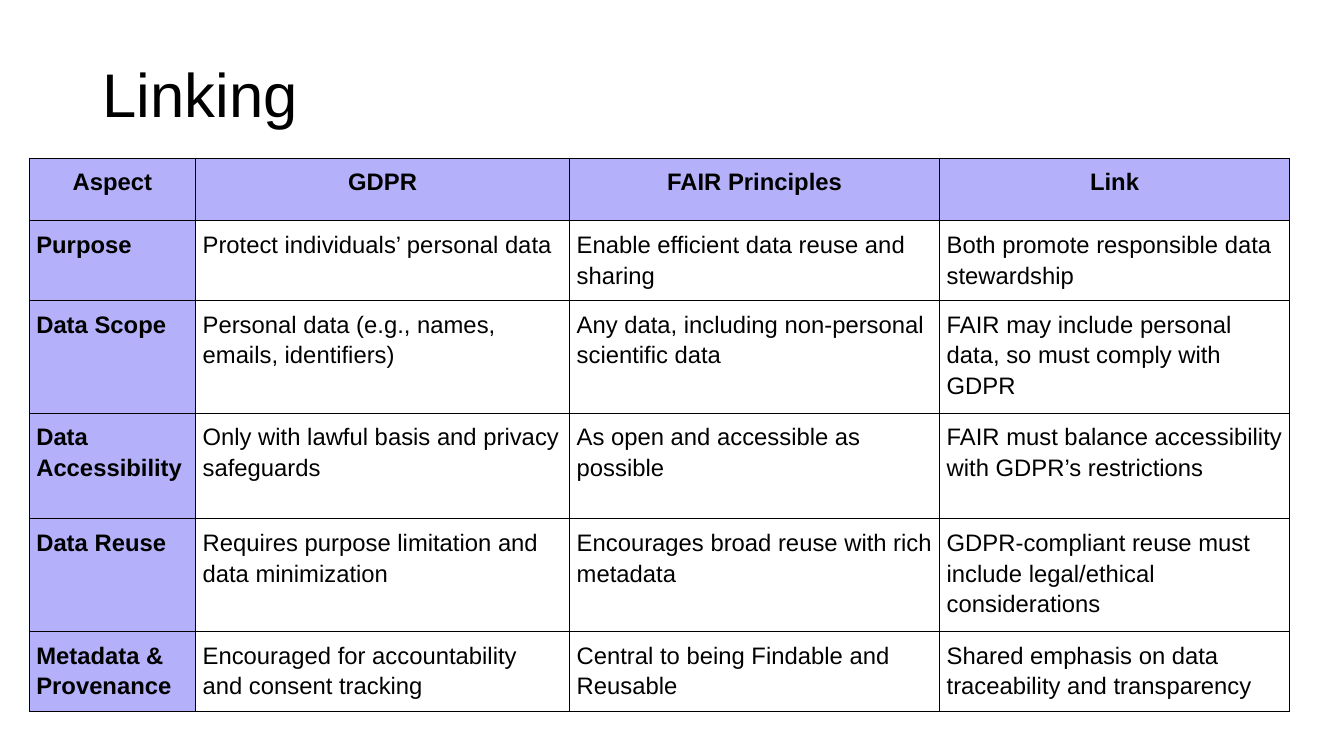
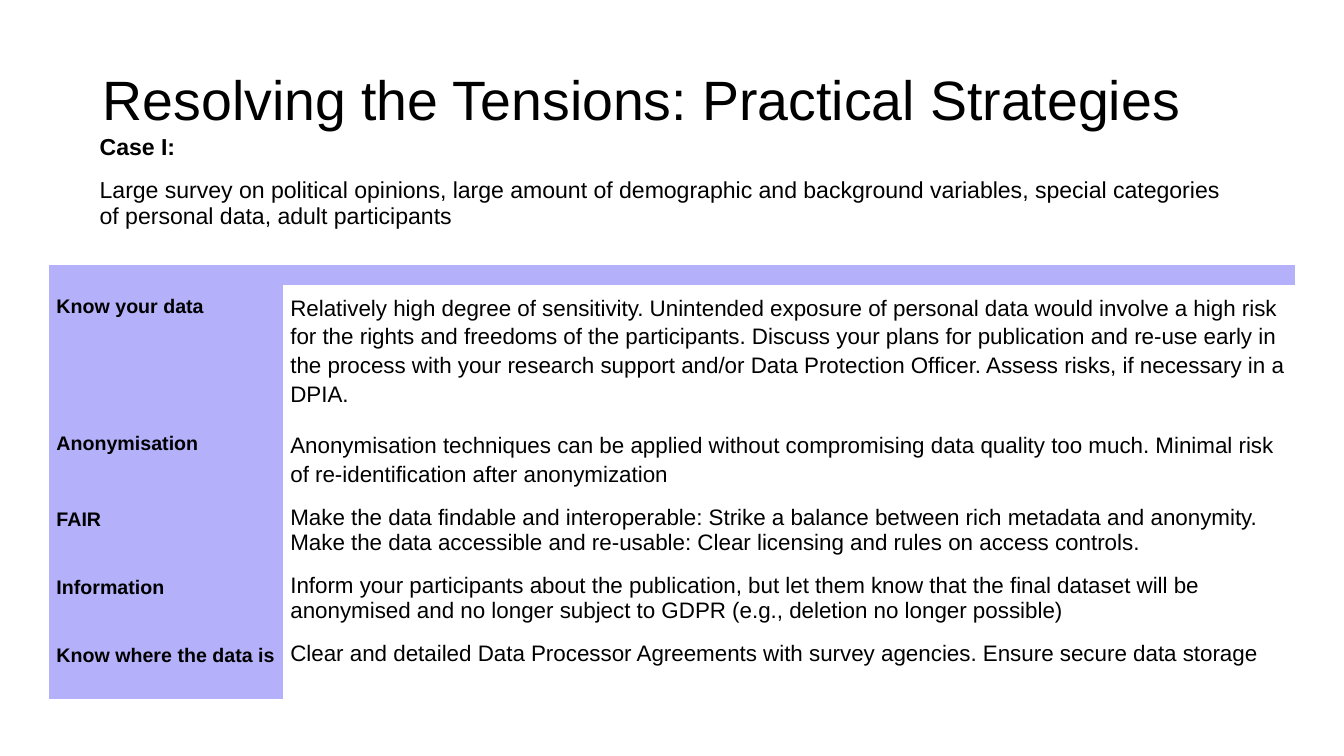
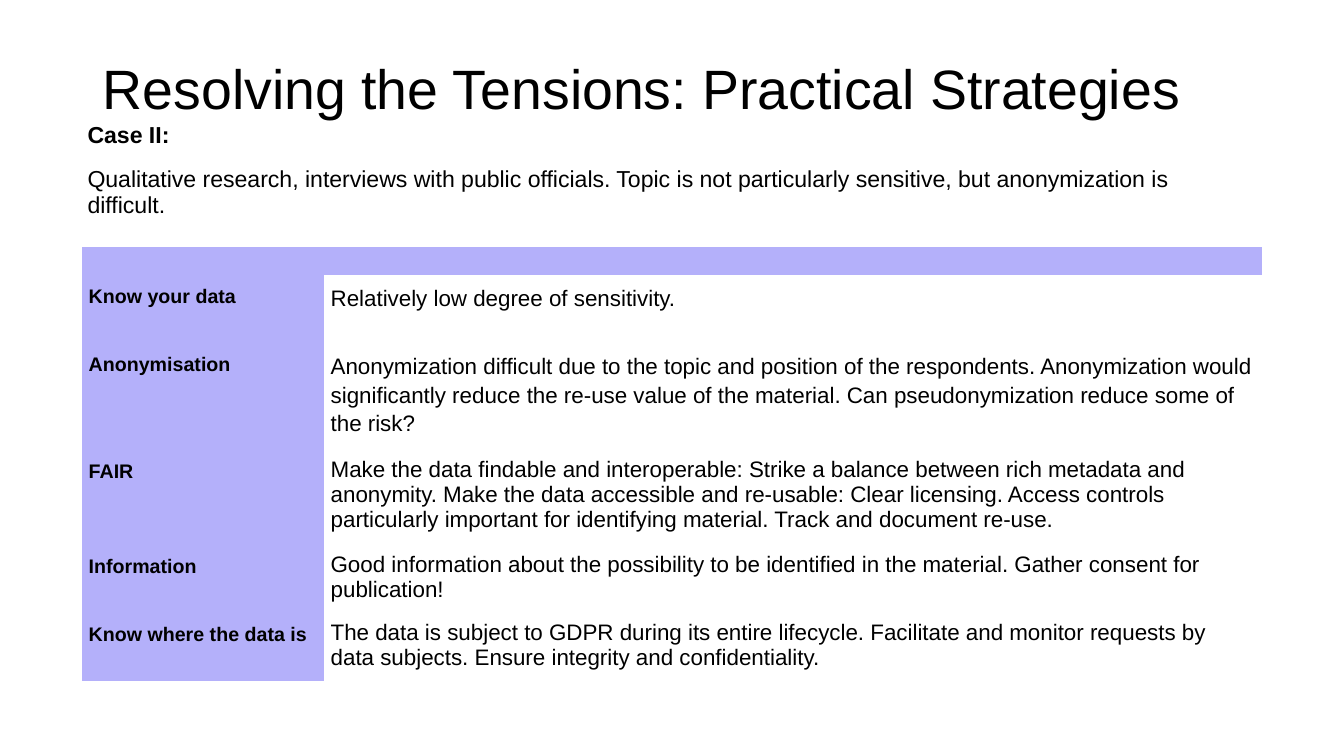
from lxml.etree import SubElement
from pptx import Presentation
from pptx.dml.color import RGBColor
from pptx.enum.text import MSO_ANCHOR, PP_ALIGN
from pptx.oxml.ns import qn
from pptx.util import Inches, Pt

BLACK = RGBColor(0x00, 0x00, 0x00)
WHITE = RGBColor(0xFF, 0xFF, 0xFF)
LAVENDER = RGBColor(0xB4, 0xB0, 0xFA)
FONT = "Arial"
CELL_MARGIN = 0.07

LINKING = {
    "title": "Linking",
    "at": (0.29, 1.57),
    "columns": (1.65, 3.71, 3.67, 3.47),
    "heights": (0.62, 0.79, 1.05, 1.05, 1.05, 0.79),
    "rows": [
        ("Aspect", "GDPR", "FAIR Principles", "Link"),
        ("Purpose", "Protect individuals’ personal data",
         "Enable efficient data reuse and sharing",
         "Both promote responsible data stewardship"),
        ("Data Scope", "Personal data (e.g., names, emails, identifiers)",
         "Any data, including non-personal scientific data",
         "FAIR may include personal data, so must comply with GDPR"),
        ("Data Accessibility", "Only with lawful basis and privacy safeguards",
         "As open and accessible as possible",
         "FAIR must balance accessibility with GDPR’s restrictions"),
        ("Data Reuse", "Requires purpose limitation and data minimization",
         "Encourages broad reuse with rich metadata",
         "GDPR-compliant reuse must include legal/ethical considerations"),
        ("Metadata & Provenance",
         "Encouraged for accountability and consent tracking",
         "Central to being Findable and Reusable",
         "Shared emphasis on data traceability and transparency"),
    ],
}

CASE_TITLE = "Resolving the Tensions: Practical Strategies"
STRATEGIES = ("Know your data", "Anonymisation", "FAIR", "Information",
              "Know where the data is")
CASES = [
    {
        "title_top": 0.2,
        "name": "Case I:",
        "summary": "Large survey on political opinions, large amount of demographic and "
                   "background variables, special categories of personal data, adult "
                   "participants",
        "summary_at": (0.89, 1.28),
        "at": (0.49, 2.63),
        "columns": (2.32, 10.03),
        "heights": (0.2, 1.28, 0.7, 0.64, 0.64, 0.64),
        "advice": (
            "Relatively high degree of sensitivity. Unintended exposure of personal data "
            "would involve a high risk for the rights and freedoms of the participants. "
            "Discuss your plans for publication and re-use early in the process with your "
            "research support and/or Data Protection Officer. Assess risks, if necessary "
            "in a DPIA.",
            "Anonymisation techniques can be applied without compromising data quality too "
            "much. Minimal risk of re-identification after anonymization",
            "Make the data findable and interoperable: Strike a balance between rich "
            "metadata and anonymity. Make the data accessible and re-usable: Clear "
            "licensing and rules on access controls.",
            "Inform your participants about the publication, but let them know that the "
            "final dataset will be anonymised and no longer subject to GDPR (e.g., "
            "deletion no longer possible)",
            "Clear and detailed Data Processor Agreements with survey agencies. Ensure "
            "secure data storage",
        ),
    },
    {
        "title_top": 0.09,
        "name": "Case II:",
        "summary": "Qualitative research, interviews with public officials. Topic is not "
                   "particularly sensitive, but anonymization is difficult.",
        "summary_at": (0.77, 1.17),
        "at": (0.81, 2.45),
        "columns": (2.4, 9.31),
        "heights": (0.28, 0.68, 0.99, 0.88, 0.68, 0.67),
        "advice": (
            "Relatively low degree of sensitivity.",
            "Anonymization difficult due to the topic and position of the respondents. "
            "Anonymization would significantly reduce the re-use value of the material. "
            "Can pseudonymization reduce some of the risk?",
            "Make the data findable and interoperable: Strike a balance between rich "
            "metadata and anonymity. Make the data accessible and re-usable: Clear "
            "licensing. Access controls particularly important for identifying material. "
            "Track and document re-use.",
            "Good information about the possibility to be identified in the material. "
            "Gather consent for publication!",
            "The data is subject to GDPR during its entire lifecycle. Facilitate and "
            "monitor requests by data subjects. Ensure integrity and confidentiality.",
        ),
    },
]


def write(paragraph, text, size, bold=False, spacing=1.0, align=PP_ALIGN.LEFT):
    paragraph.alignment = align
    paragraph.line_spacing = spacing
    run = paragraph.add_run()
    run.text = text
    run.font.name = FONT
    run.font.size = Pt(size)
    run.font.bold = bold
    run.font.color.rgb = BLACK


def add_frame(slide, left, top, width, height, anchor=MSO_ANCHOR.TOP):
    box = slide.shapes.add_textbox(*map(Inches, (left, top, width, height)))
    frame = box.text_frame
    frame.word_wrap = True
    frame.vertical_anchor = anchor
    return frame


def add_title(slide, text, top, size, spacing):
    frame = add_frame(slide, 0.92, top, 11.5, 1.45, MSO_ANCHOR.MIDDLE)
    write(frame.paragraphs[0], text, size, spacing=spacing)


def set_borders(cell, ruled):
    properties = cell._tc.get_or_add_tcPr()
    for index, side in enumerate(("a:lnL", "a:lnR", "a:lnT", "a:lnB")):
        line = properties.makeelement(qn(side), {"w": str(Pt(0.75))})
        if ruled:
            paint = SubElement(line, qn("a:solidFill"))
            SubElement(paint, qn("a:srgbClr"), val=str(BLACK))
        else:
            SubElement(line, qn("a:noFill"))
        properties.insert(index, line)


def add_grid(slide, layout, rows, ruled, style):
    columns, heights = layout["columns"], layout["heights"]
    extent = (*layout["at"], sum(columns), sum(heights))
    table = slide.shapes.add_table(len(rows), len(columns), *map(Inches, extent)).table
    table.first_row = table.horz_banding = False
    for column, width in zip(table.columns, columns):
        column.width = Inches(width)
    for r, (row, height) in enumerate(zip(rows, heights)):
        table.rows[r].height = Inches(height)
        for c, text in enumerate(row):
            cell = table.cell(r, c)
            heading = r == 0 or c == 0
            margin = Inches(CELL_MARGIN if text else 0)
            cell.margin_left = cell.margin_right = margin
            cell.margin_top = cell.margin_bottom = margin
            cell.fill.solid()
            cell.fill.fore_color.rgb = LAVENDER if heading else WHITE
            set_borders(cell, ruled)
            paragraph = cell.text_frame.paragraphs[0]
            if text:
                write(paragraph, text, bold=heading, **style(r, c))
            else:
                SubElement(paragraph._p, qn("a:endParaRPr"), sz="400")


def linking_style(r, c):
    return {"size": 17, "spacing": 1.15,
            "align": PP_ALIGN.CENTER if r == 0 else PP_ALIGN.LEFT}


def case_style(r, c):
    return {"size": 14 if c == 0 else 16,
            "spacing": 1.15 if c == 0 or r < 3 else 1.0}


def add_case(slide, case):
    add_title(slide, CASE_TITLE, case["title_top"], 39.6, 1.15)
    frame = add_frame(slide, *case["summary_at"], 11.55, 1.08)
    write(frame.paragraphs[0], case["name"], 16.5, True, 0.95)
    summary = frame.add_paragraph()
    summary.space_before = Pt(12)
    write(summary, case["summary"], 16.5, spacing=0.95)
    rows = [("", ""), *zip(STRATEGIES, case["advice"])]
    add_grid(slide, case, rows, False, case_style)


def main():
    deck = Presentation()
    deck.slide_width, deck.slide_height = Inches(13.33), Inches(7.5)
    blank = deck.slide_layouts[6]
    linking = deck.slides.add_slide(blank)
    add_title(linking, LINKING["title"], 0.24, 44, 0.9)
    add_grid(linking, LINKING, LINKING["rows"], True, linking_style)
    for case in CASES:
        add_case(deck.slides.add_slide(blank), case)
    deck.save("out.pptx")


if __name__ == "__main__":
    main()
